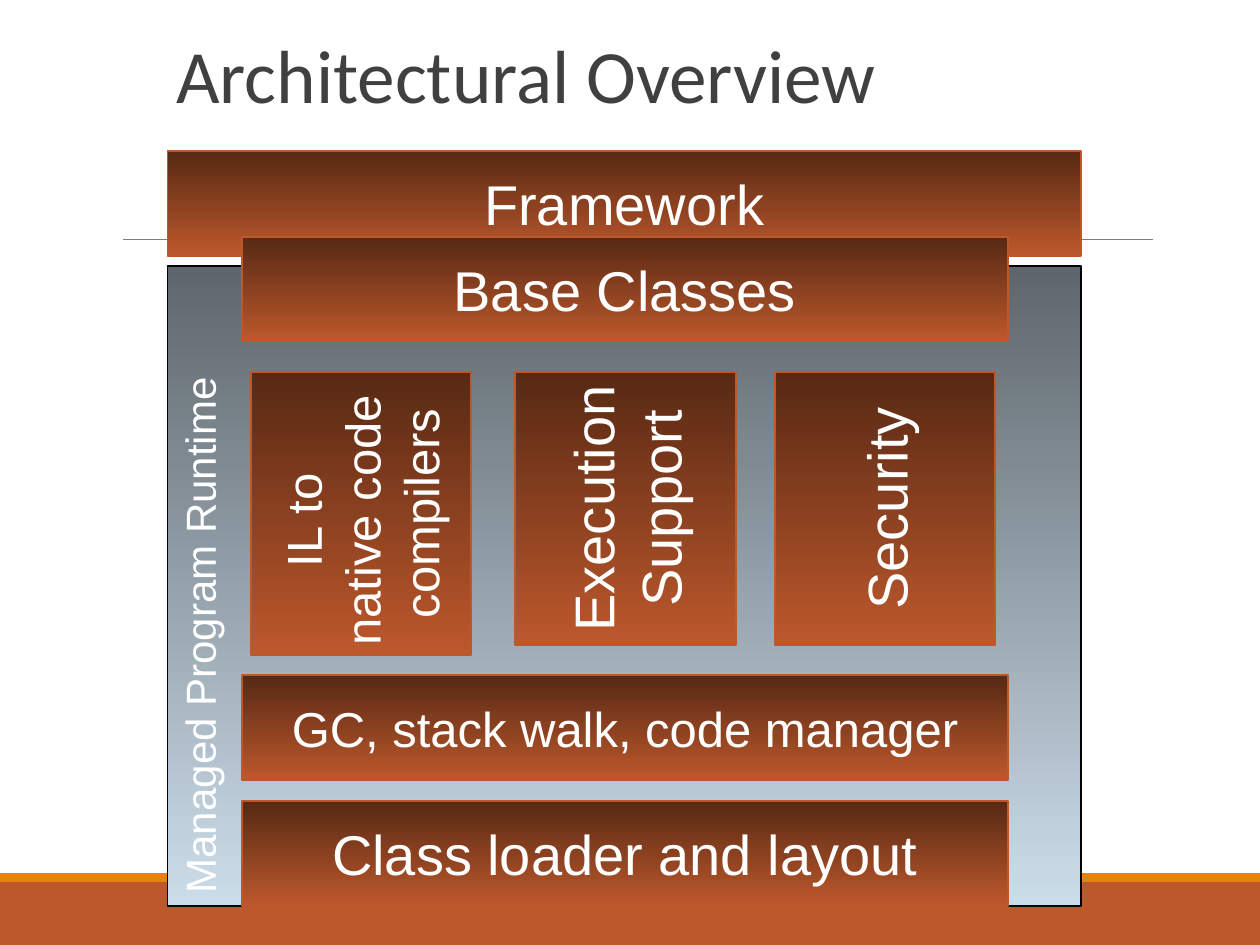
"""Build the Architectural Overview slide as a stack of layered runtime blocks."""
from lxml import etree
from pptx import Presentation
from pptx.dml.color import RGBColor
from pptx.enum.shapes import MSO_CONNECTOR, MSO_SHAPE
from pptx.enum.text import MSO_ANCHOR, MSO_AUTO_SIZE, PP_ALIGN
from pptx.oxml.ns import qn
from pptx.util import Inches, Pt

THEME = {
    "heading_font": "Calibri", "body_font": "Arial",
    "title_size": 43, "large": 32, "medium": 28, "small": 24,
    "title": "404040", "text": "FFFFFF", "rule": "7F7F7F",
    "block": ("572914", "BD582C"), "block_line": "BD582C",
    "panel": ("5E666C", "CCDDEA"), "panel_line": "000000",
    "footer": "BD582C", "accent": "E48312",
}

TITLE = "Architectural Overview"
FOOTER_BARS = [("footer", 7, 0.5), ("accent", 6.93, 0.07)]
RUNTIME = "Managed Program Runtime"
FRAMEWORK = "Framework"
LAYERS = [
    ("Class loader and layout", 6.36, "large"),
    ("GC, stack walk, code manager", 5.36, "medium"),
]
SERVICES = [
    ("IL to \nnative code \ncompilers", 1.99, 2.25, "medium"),
    ("Security", 6.15, 2.17, "large"),
    ("Execution\nSupport", 4.09, 2.17, "large"),
]
BASE = ("Base Classes", 1.88, "large")

OUTER_LEFT, OUTER_WIDTH = 1.33, 7.25
LAYER_LEFT, LAYER_WIDTH, LAYER_HEIGHT = 1.92, 6.08, 0.83
SERVICE_TOP, SERVICE_WIDTH = 2.95, 1.75


def color(name):
    return RGBColor.from_string(THEME.get(name, name))


def apply(target, formats):
    for attribute, value in formats.items():
        setattr(target, attribute, value)


def style_runs(paragraph, font, size, ink):
    for run in paragraph.runs:
        apply(run.font, {"name": THEME[font], "size": Pt(THEME[size])})
        run.font.color.rgb = color(ink)


def add_rectangle(slide, left, top, width, height):
    rectangle = slide.shapes.add_shape(
        MSO_SHAPE.RECTANGLE, *map(Inches, (left, top, width, height)))
    rectangle.shadow.inherit = False
    return rectangle


def add_block(slide, label, box, size, look="block", rotation=0):
    block = add_rectangle(slide, *box)
    block.rotation = rotation
    block.fill.gradient()
    block.fill.gradient_angle = 270
    for stop, shade in zip(block.fill.gradient_stops, THEME[look]):
        stop.color.rgb = color(shade)
    block._element.spPr.find(qn("a:gradFill")).set("rotWithShape", "0")
    block.line.color.rgb = color(look + "_line")
    block.line.width = Pt(1)
    frame = block.text_frame
    apply(frame, {
        "word_wrap": False, "vertical_anchor": MSO_ANCHOR.MIDDLE,
        "margin_left": Inches(0.1), "margin_right": Inches(0.1),
        "margin_top": Inches(0.05), "margin_bottom": Inches(0.05),
    })
    paragraph = frame.paragraphs[0]
    apply(paragraph, {"text": label.replace("\n", "\v"), "alignment": PP_ALIGN.CENTER})
    style_runs(paragraph, "body_font", size, "text")
    return block


def add_backdrop(slide):
    for name, top, height in FOOTER_BARS:
        bar = add_rectangle(slide, 0, top, 10, height)
        bar.fill.solid()
        bar.fill.fore_color.rgb = color(name)
        bar.line.fill.background()
    rule = slide.shapes.add_connector(
        MSO_CONNECTOR.STRAIGHT, *map(Inches, (0.98, 1.9, 9.15, 1.9)))
    rule.line.color.rgb = color("rule")
    rule.line.width = Pt(0.5)
    etree.SubElement(rule._element.spPr, qn("a:effectLst"))


def add_title(slide):
    title = slide.shapes.title
    apply(title, {"left": Inches(1.3), "top": Inches(0.27),
                  "width": Inches(7.19), "height": Inches(0.72)})
    apply(title.text_frame, {"text": TITLE, "word_wrap": True,
                             "auto_size": MSO_AUTO_SIZE.NONE,
                             "vertical_anchor": MSO_ANCHOR.BOTTOM})
    paragraph = title.text_frame.paragraphs[0]
    apply(paragraph, {"alignment": PP_ALIGN.LEFT, "line_spacing": 0.85})
    style_runs(paragraph, "heading_font", "title_size", "title")


def add_runtime(slide):
    panel = add_block(slide, RUNTIME, (OUTER_LEFT, 2.11, OUTER_WIDTH, 5.08),
                      "small", look="panel", rotation=180)
    apply(panel.text_frame, {
        "word_wrap": True, "vertical_anchor": MSO_ANCHOR.TOP,
        "margin_left": Inches(0.05), "margin_right": Inches(0.05),
        "margin_top": Inches(0.1), "margin_bottom": Inches(0.1),
    })
    panel.text_frame._txBody.bodyPr.set("vert", "eaVert")


def add_layer(slide, label, top, size):
    add_block(slide, label, (LAYER_LEFT, top, LAYER_WIDTH, LAYER_HEIGHT), size)


def add_service(slide, label, left, length, size):
    turn = (length - SERVICE_WIDTH) / 2
    box = (left - turn, SERVICE_TOP + turn, length, SERVICE_WIDTH)
    add_block(slide, label, box, size, rotation=270)


def main():
    deck = Presentation()
    apply(deck, {"slide_width": Inches(10), "slide_height": Inches(7.5)})
    slide = deck.slides.add_slide(deck.slide_layouts[5])
    add_backdrop(slide)
    add_title(slide)
    add_runtime(slide)
    add_block(slide, FRAMEWORK, (OUTER_LEFT, 1.2, OUTER_WIDTH, LAYER_HEIGHT), "large")
    for layer in LAYERS:
        add_layer(slide, *layer)
    for service in SERVICES:
        add_service(slide, *service)
    add_layer(slide, *BASE)
    deck.save("out.pptx")


if __name__ == "__main__":
    main()
